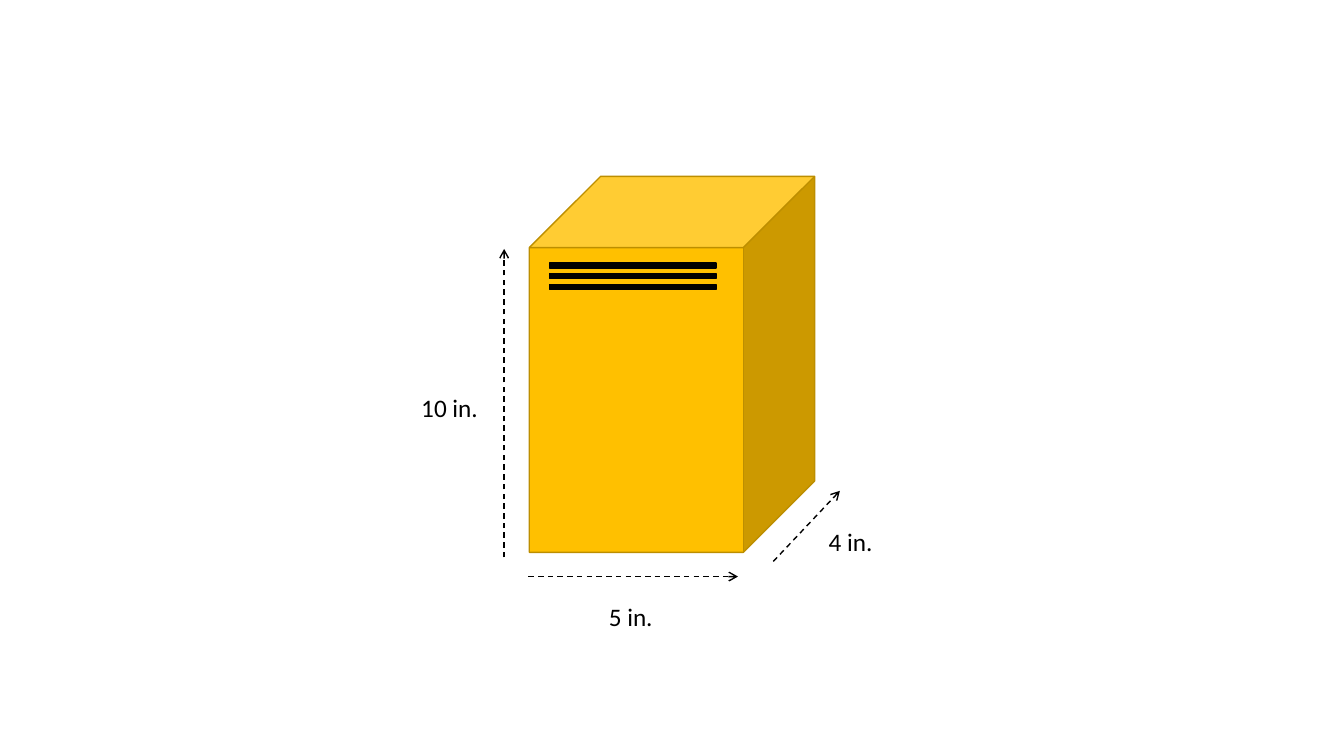
from lxml import etree
from pptx import Presentation
from pptx.dml.color import RGBColor
from pptx.enum.dml import MSO_LINE
from pptx.enum.shapes import MSO_CONNECTOR, MSO_SHAPE
from pptx.enum.text import MSO_AUTO_SIZE
from pptx.oxml.ns import qn
from pptx.util import Inches, Pt

CUBE, RECTANGLE = MSO_SHAPE.CUBE, MSO_SHAPE.RECTANGLE
STRAIGHT, DASH = MSO_CONNECTOR.STRAIGHT, MSO_LINE.DASH
FIT_SHAPE = MSO_AUTO_SIZE.SHAPE_TO_FIT_TEXT

GOLD = RGBColor(0xFF, 0xC0, 0x00)
DARK_GOLD = RGBColor(0xBD, 0x8E, 0x00)
BLACK = RGBColor(0x00, 0x00, 0x00)
FONT = "Calibri"

# Boxes are left, top, width, height in inches
LOCKER = (5.25, 1.75, 2.83, 3.73)
FIRST_SLOT = (5.45, 2.61, 1.65, 0.05)
SLOT_COUNT, SLOT_PITCH = 3, 0.105

# Label, label box, arrow start, arrow end
DIMENSIONS = [
    ("10 in.", (4.08, 3.84, 0.76, 0.4), (5, 5.53), (5, 2.47)),
    ("5 in.", (5.94, 5.92, 0.64, 0.4), (5.24, 5.72), (7.32, 5.72)),
    ("4 in.", (8.12, 5.17, 0.64, 0.4), (7.67, 5.57), (8.33, 4.87)),
]


def inches(values):
    return [Inches(value) for value in values]


def add_solid(shapes, preset, box, fill, outline):
    shape = shapes.add_shape(preset, *inches(box))
    shape.shadow.inherit = False
    shape.fill.solid()
    shape.fill.fore_color.rgb = fill
    shape.line.color.rgb = outline
    shape.line.width = Pt(1)


def add_arrow(shapes, start, end):
    arrow = shapes.add_connector(STRAIGHT, *inches(start + end))
    arrow.line.color.rgb = BLACK
    arrow.line.width = Pt(1)
    arrow.line.dash_style = DASH
    properties = arrow._element.spPr
    etree.SubElement(properties.find(qn("a:ln")), qn("a:tailEnd"), type="arrow")
    etree.SubElement(properties, qn("a:effectLst"))


def add_label(shapes, text, box):
    frame = shapes.add_textbox(*inches(box)).text_frame
    frame.word_wrap = False
    frame.auto_size = FIT_SHAPE
    paragraph = frame.paragraphs[0]
    paragraph.text = text
    paragraph.font.name = FONT
    paragraph.font.size = Pt(18)
    paragraph.font.color.rgb = BLACK


presentation = Presentation()
presentation.slide_width = Inches(13.33)
presentation.slide_height = Inches(7.5)
slide = presentation.slides.add_slide(presentation.slide_layouts[6])

locker = slide.shapes.add_group_shape()
add_solid(locker.shapes, CUBE, LOCKER, GOLD, DARK_GOLD)
slot_left, slot_top, slot_width, slot_height = FIRST_SLOT
for index in range(SLOT_COUNT):
    slot = (slot_left, slot_top + index * SLOT_PITCH, slot_width, slot_height)
    add_solid(locker.shapes, RECTANGLE, slot, BLACK, BLACK)

for text, box, start, end in DIMENSIONS:
    add_arrow(slide.shapes, start, end)
    add_label(slide.shapes, text, box)

presentation.save("out.pptx")
